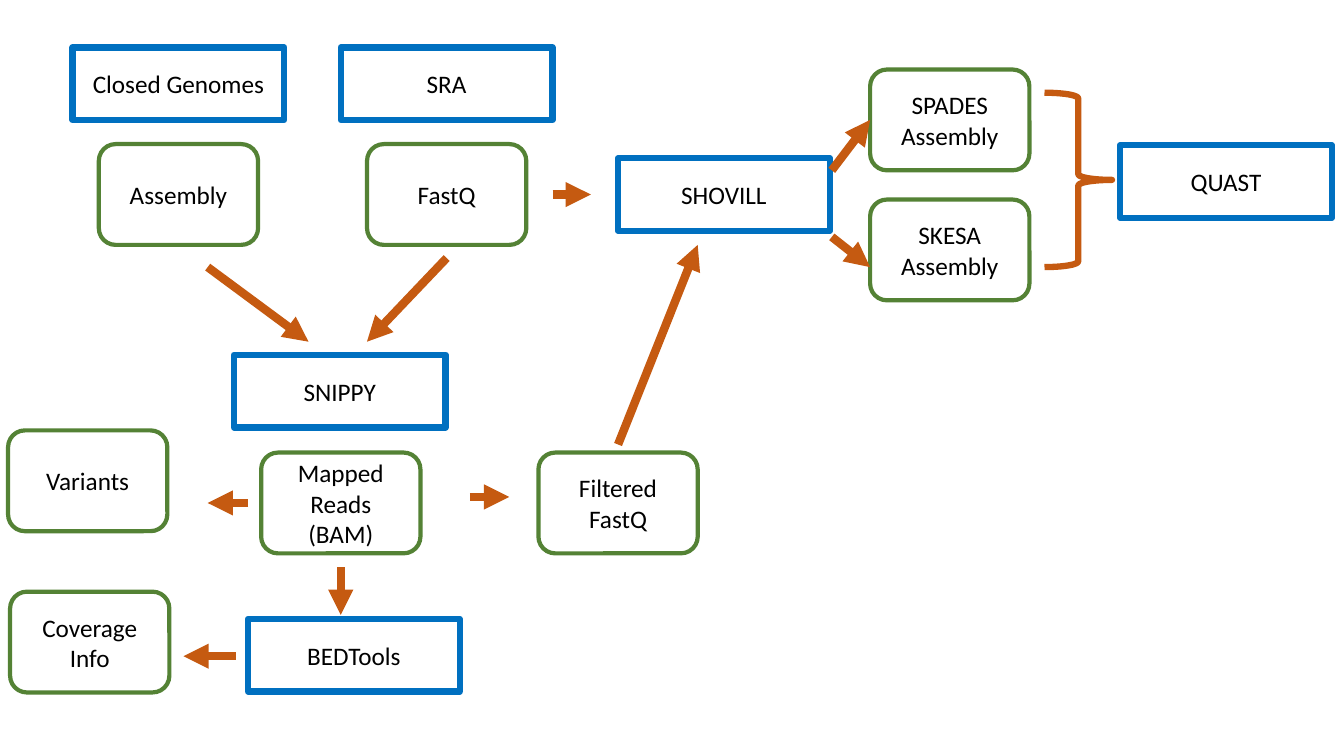
from lxml import etree
from pptx import Presentation
from pptx import util as u
from pptx.dml.color import RGBColor
from pptx.enum import shapes, text
from pptx.oxml.ns import qn

COLORS = {"tool": "0070C0", "data": "548235", "flow": "C55A11", "text": "000000"}
TOOL_SIZE = (2.1, 0.72)
DATA_SIZE = (1.58, 1)


class Flowchart:
    font = "Calibri"
    font_size = u.Pt(18)

    def __init__(self, page):
        self.page = page

    def style_line(self, line, color, width):
        line.color.rgb = RGBColor.from_string(COLORS[color])
        line.width = u.Pt(width)

    def outline(self, kind, left, top, size, color, width):
        box = self.page.shapes.add_shape(
            kind, *(u.Inches(value) for value in (left, top, *size)))
        box.shadow.inherit = False
        box.fill.background()
        self.style_line(box.line, color, width)
        return box

    def label(self, box, words):
        frame = box.text_frame
        frame.text = words
        frame.word_wrap = True
        frame.vertical_anchor = text.MSO_ANCHOR.MIDDLE
        for para in frame.paragraphs:
            para.alignment = text.PP_ALIGN.CENTER
            for span in para.runs:
                span.font.name = self.font
                span.font.size = self.font_size
                span.font.color.rgb = RGBColor.from_string(COLORS["text"])

    def tool(self, words, left, top):
        kind = shapes.MSO_SHAPE.RECTANGLE
        self.label(self.outline(kind, left, top, TOOL_SIZE, "tool", 4.5), words)

    def data(self, words, left, top):
        kind = shapes.MSO_SHAPE.ROUNDED_RECTANGLE
        self.label(self.outline(kind, left, top, DATA_SIZE, "data", 3), words)

    def brace(self, left, top, size):
        self.outline(shapes.MSO_SHAPE.RIGHT_BRACE, left, top, size, "flow", 4.5)

    def arrow(self, *ends):
        arrow = self.page.shapes.add_connector(
            shapes.MSO_CONNECTOR.STRAIGHT, *(u.Inches(value) for value in ends))
        self.style_line(arrow.line, "flow", 6)
        etree.SubElement(arrow.line._get_or_add_ln(), qn("a:tailEnd"), type="triangle")
        etree.SubElement(arrow._element.spPr, qn("a:effectLst"))


def main():
    deck = Presentation()
    deck.slide_width, deck.slide_height = u.Inches(13.33), u.Inches(7.5)
    chart = Flowchart(deck.slides.add_slide(deck.slide_layouts[6]))

    # Sources and tools
    for words, left, top in [
        ("Closed Genomes", 0.72, 0.47),
        ("SRA", 3.38, 0.47),
        ("SNIPPY", 2.32, 3.52),
        ("SHOVILL", 6.13, 1.57),
        ("BEDTools", 2.46, 6.14),
        ("QUAST", 11.11, 1.44),
    ]:
        chart.tool(words, left, top)

    # Data passed between the tools
    for words, left, top in [
        ("Assembly", 0.98, 1.43),
        ("FastQ", 3.64, 1.43),
        ("SPADES Assembly", 8.63, 0.69),
        ("SKESA Assembly", 8.63, 1.98),
        ("Mapped Reads (BAM)", 2.59, 4.49),
        ("Filtered\nFastQ", 5.34, 4.49),
        ("Variants", 0.08, 4.27),
        ("Coverage Info", 0.1, 5.87),
    ]:
        chart.data(words, left, top)

    # Flow: start x, start y, end x, end y
    for ends in [
        (2.06, 2.65, 3.06, 3.39),  # Assembly to SNIPPY
        (4.43, 2.56, 3.64, 3.39),  # FastQ to SNIPPY
        (5.48, 1.93, 5.86, 1.93),  # FastQ to SHOVILL
        (8.25, 1.69, 8.63, 1.19),  # SHOVILL to SPADES
        (8.25, 2.35, 8.63, 2.65),  # SHOVILL to SKESA
        (2.46, 4.99, 2.06, 4.99),  # Mapped Reads to Variants
        (4.66, 4.93, 5.05, 4.93),  # Mapped Reads to Filtered FastQ
        (3.38, 5.63, 3.38, 6.1),   # Mapped Reads to BEDTools
        (2.34, 6.51, 1.82, 6.51),  # BEDTools to Coverage Info
        (6.13, 4.41, 6.92, 2.43),  # Filtered FastQ to SHOVILL
    ]:
        chart.arrow(*ends)

    # Both assemblies lead to QUAST
    chart.brace(10.36, 0.92, (0.67, 1.73))

    deck.save("out.pptx")


if __name__ == "__main__":
    main()
